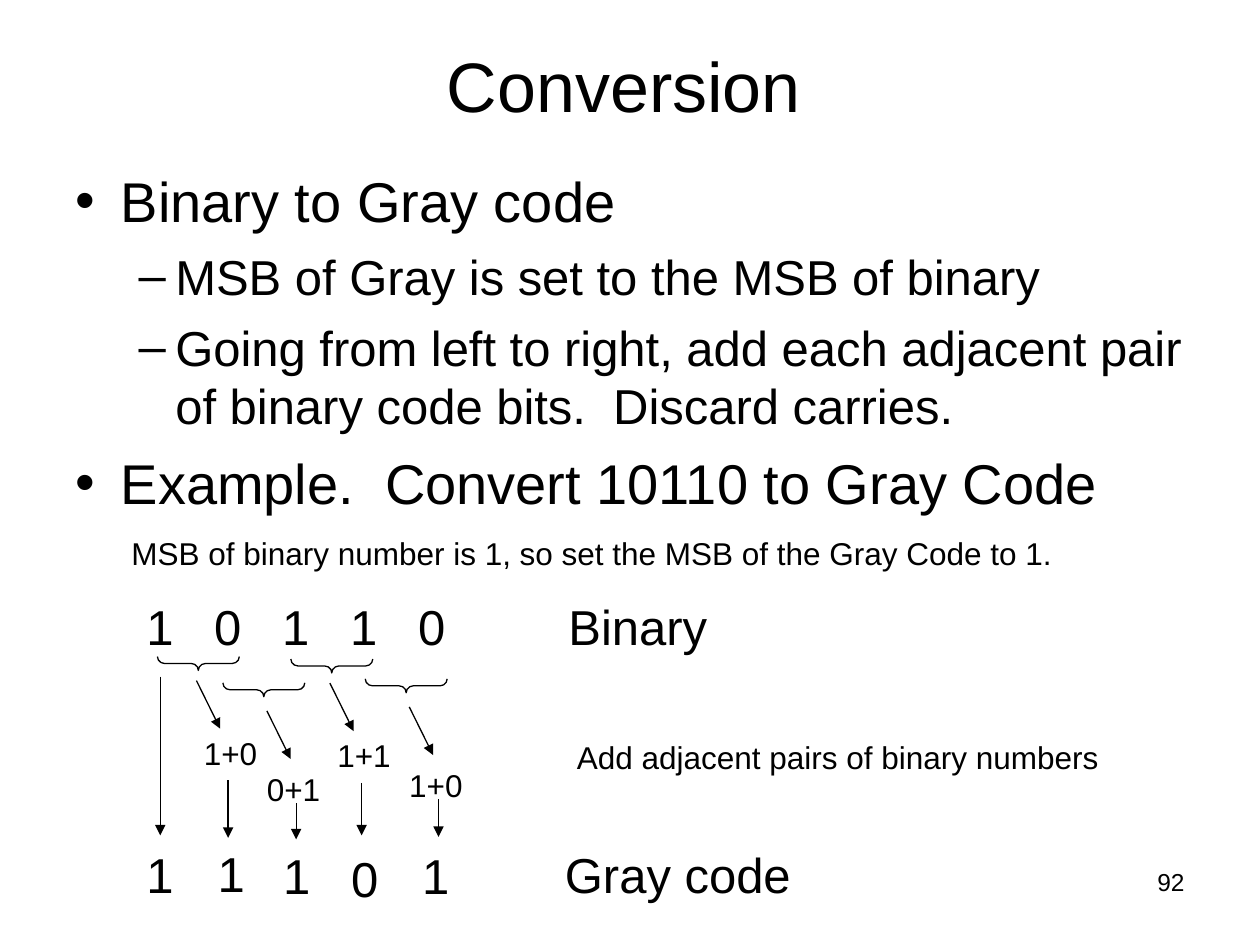
from dataclasses import dataclass

from lxml.etree import SubElement
from pptx import Presentation
from pptx.dml.color import RGBColor
from pptx.enum.shapes import MSO_CONNECTOR as Connector, MSO_SHAPE as Shape
from pptx.enum.text import MSO_ANCHOR as Anchor, MSO_AUTO_SIZE as AutoSize, PP_ALIGN as Align
from pptx.oxml.ns import qn
from pptx.util import Cm, Pt

COLORS = {"ink": "000000"}
FONT = "Arial"


@dataclass
class Level:
    """Offsets in cm of a step's parts from its brace."""
    arrow: tuple
    term: tuple
    term_width: float
    drop: tuple


@dataclass
class Step:
    """One addition of two neighbouring bits, placed in cm within the diagram."""
    left: float
    top: float
    level: Level
    term: str
    bit: str
    bit_left: float
    bit_top: float
    drop_end: float


UPPER = Level(arrow=(0.1, 1.17), term=(0, 2.12), term_width=2.74, drop=(0.74, 3.18))
LOWER = Level(arrow=(0.2, 1.25), term=(-0.05, 2.32), term_width=1.6, drop=(0.79, 3.11))
STEPS = [
    Step(1.46, 1.95, UPPER, "1+0", "1", 1.74, 6.27, 6.29),
    Step(2.78, 2.48, LOWER, "0+1", "1", 3.06, 6.32, 6.32),
    Step(4.15, 2.0, UPPER, "1+1", "0", 4.43, 6.39, 6.24),
    Step(5.65, 2.4, LOWER, "1+0", "1", 5.86, 6.32, 6.27),
]
BODY = [
    (0, "Binary to Gray code"),
    (1, "MSB of Gray is set to the MSB of binary"),
    (1, "Going from left to right, add each adjacent pair of binary code bits.  Discard carries."),
    (0, "Example.  Convert 10110 to Gray Code"),
]
BODY_STYLES = [(32, 8, 0.91, -0.91), (28, 7, 2.01, -0.74)]


def ink():
    """Return the text and line colour."""
    return RGBColor.from_string(COLORS["ink"])


def add_run(paragraph, text, size):
    """Append one formatted run."""
    run = paragraph.add_run()
    run.text = text
    run.font.name = FONT
    run.font.size = Pt(size)
    run.font.color.rgb = ink()


def place(shape, left, top, width, height):
    """Move and size a shape in cm."""
    shape.left, shape.top = Cm(left), Cm(top)
    shape.width, shape.height = Cm(width), Cm(height)


def add_label(slide, left, top, width, height, text, size, tabs=(), align=Align.LEFT):
    """Add a one-line text box, with tab stops in cm."""
    box = slide.shapes.add_textbox(Cm(left), Cm(top), Cm(width), Cm(height))
    box.text_frame.word_wrap = True
    paragraph = box.text_frame.paragraphs[0]
    paragraph.alignment = align
    if tabs:
        tab_list = SubElement(paragraph._p.get_or_add_pPr(), qn("a:tabLst"))
        for position in tabs:
            SubElement(tab_list, qn("a:tab"), pos=str(Cm(position)), algn="l")
    add_run(paragraph, text, size)


def add_arrow(slide, start, end):
    """Draw a thin arrow between two points in cm."""
    points = [Cm(value) for value in (*start, *end)]
    arrow = slide.shapes.add_connector(Connector.STRAIGHT, *points)
    arrow.line.color.rgb = ink()
    arrow.line.width = Pt(0.75)
    SubElement(arrow.line._get_or_add_ln(), qn("a:tailEnd"), type="triangle")
    SubElement(arrow._element.spPr, qn("a:effectLst"))


def add_brace(slide, left, top):
    """Draw a brace that points down."""
    brace = slide.shapes.add_shape(Shape.LEFT_BRACE, Cm(left), Cm(top), Cm(0.28), Cm(1.65))
    brace.rotation = 270
    brace.adjustments[0] = 0.51
    brace.shadow.inherit = False
    brace.fill.background()
    brace.line.color.rgb = ink()
    brace.line.width = Pt(0.75)


def fill_title(slide, left, top, width, height):
    """Set the slide title."""
    title = slide.shapes.title
    place(title, left, top, width, height)
    title.text_frame.vertical_anchor = Anchor.MIDDLE
    title.text_frame.auto_size = AutoSize.NONE
    paragraph = title.text_frame.paragraphs[0]
    paragraph.alignment = Align.CENTER
    add_run(paragraph, "Conversion", 40)


def fill_body(slide, left, top, width, height):
    """Set the two-level bullet list."""
    body = slide.placeholders[1]
    place(body, left, top, width, height)
    frame = body.text_frame
    frame.auto_size = AutoSize.NONE
    for index, (level, text) in enumerate(BODY):
        paragraph = frame.add_paragraph() if index else frame.paragraphs[0]
        size, space, margin, indent = BODY_STYLES[level]
        paragraph.level = level
        paragraph.space_before = Pt(space if index else 0)
        properties = paragraph._p.get_or_add_pPr()
        properties.set("marL", str(Cm(margin)))
        properties.set("indent", str(Cm(indent)))
        add_run(paragraph, text, size)


def draw_step(slide, left, top, step):
    """Draw one addition and its resulting bit."""
    level = step.level
    x, y = left + step.left, top + step.top
    add_brace(slide, x, y)
    start_x, start_y = x + level.arrow[0], y + level.arrow[1]
    add_arrow(slide, (start_x, start_y), (start_x + 0.48, start_y + 0.97))
    add_label(slide, x + level.term[0], y + level.term[1], level.term_width, 1.02, step.term, 18)
    drop_x = x + level.drop[0]
    add_arrow(slide, (drop_x, y + level.drop[1]), (drop_x, top + step.drop_end))
    add_label(slide, left + step.bit_left, top + step.bit_top, 1.47, 1.45, step.bit, 28)


def draw_diagram(slide, left, top):
    """Draw the worked conversion from binary to Gray code."""
    add_label(slide, left, top + 0.05, 19.63, 1.02,
              "MSB of binary number is 1, so set the MSB of the Gray Code to 1.", 18)
    bit_tabs = [1.37 * column for column in range(1, 5)]
    add_label(slide, left + 0.3, top + 1.3, 14.17, 1.45,
              "\t".join([*"10110", "Binary"]), 28, [*bit_tabs, 8.51])
    add_arrow(slide, (left + 0.83, top + 3.04), (left + 0.83, top + 6.24))
    add_label(slide, left + 0.3, top + 6.29, 14.17, 1.45, "1\tGray code", 28, [8.44])
    add_label(slide, left + 8.98, top + 4.16, 11.38, 1.02,
              "Add adjacent pairs of binary numbers", 18)
    for step in STEPS:
        draw_step(slide, left, top, step)


def main():
    """Build and save the slide."""
    presentation = Presentation()
    presentation.slide_width, presentation.slide_height = Cm(25.4), Cm(19.05)
    slide = presentation.slides.add_slide(presentation.slide_layouts[1])
    fill_title(slide, 1.27, 0.76, 22.61, 1.9)
    fill_body(slide, 1.27, 3.23, 22.86, 7.54)
    draw_diagram(slide, 2.4, 10.6)
    add_label(slide, 18.21, 17.35, 5.92, 1.32, "92", 14, align=Align.RIGHT)
    presentation.save("out.pptx")


if __name__ == "__main__":
    main()
